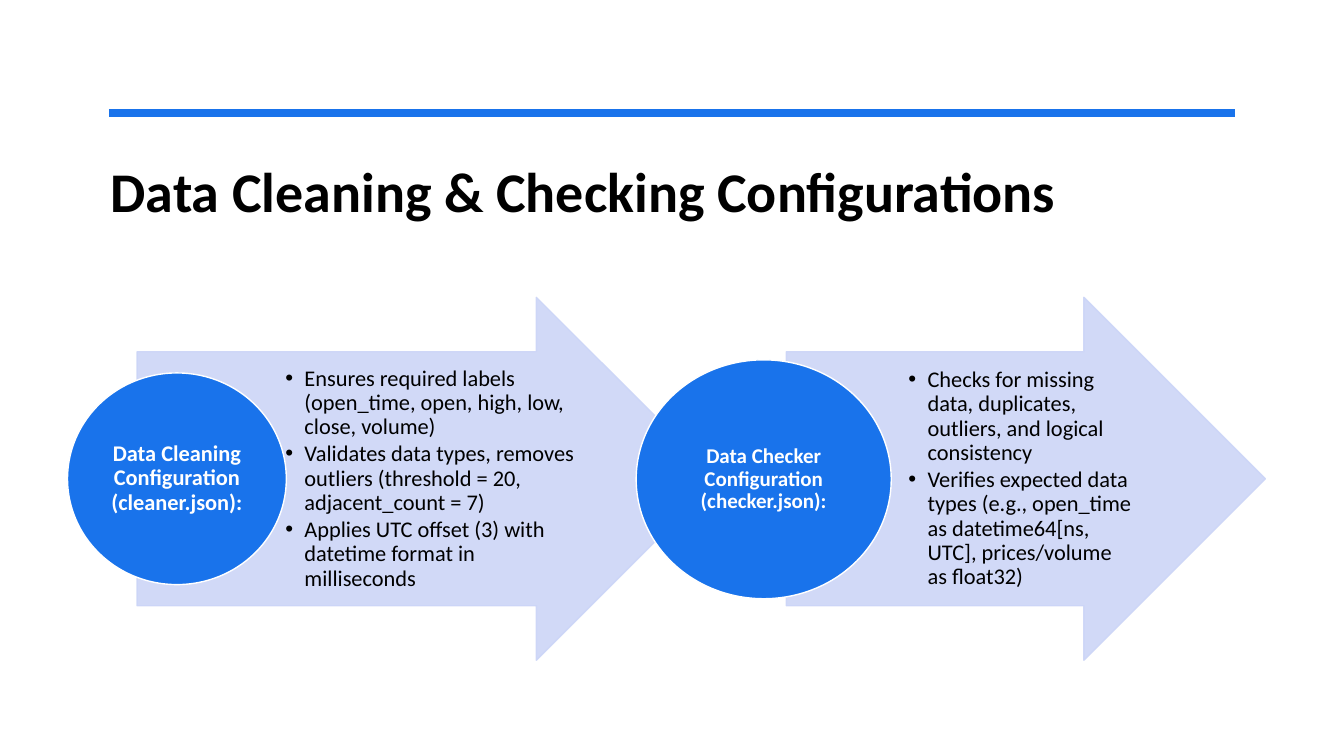
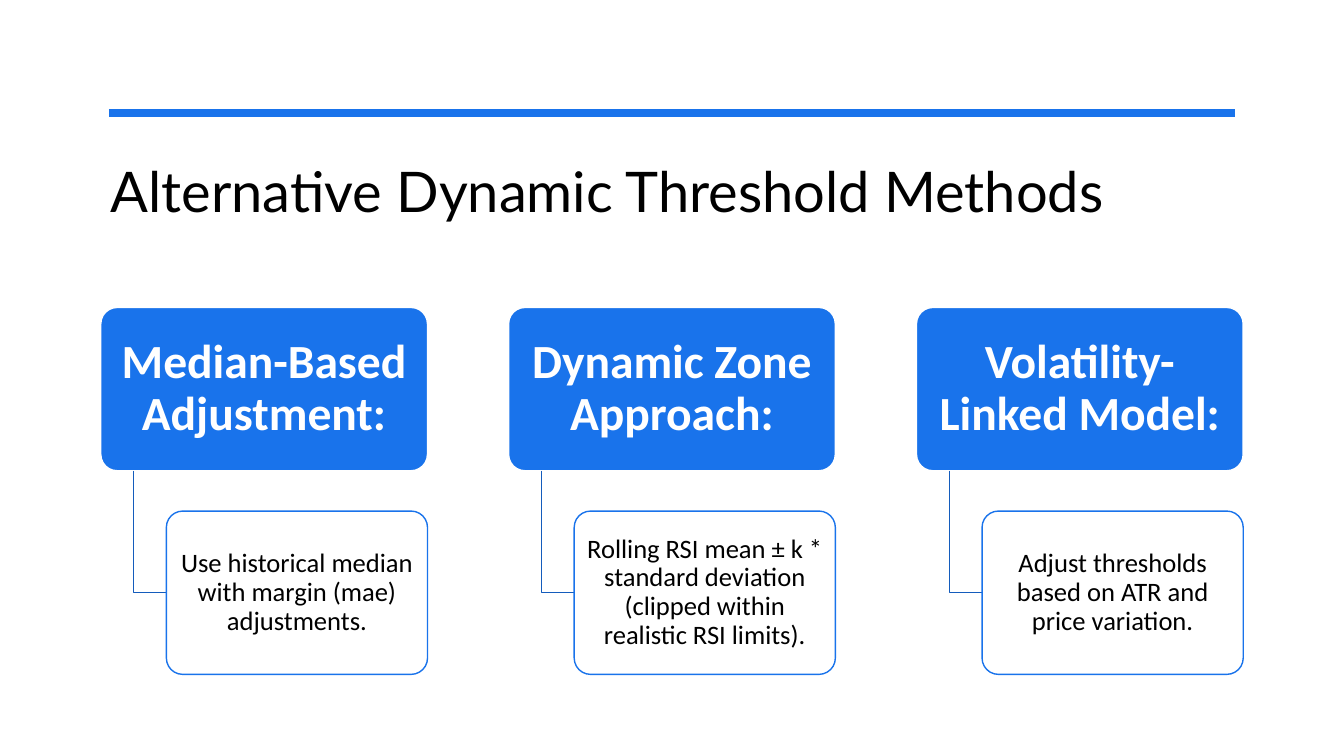
from lxml.etree import SubElement
from pptx import Presentation
from pptx.dml.color import RGBColor
from pptx.enum.shapes import MSO_CONNECTOR, MSO_SHAPE
from pptx.enum.text import MSO_ANCHOR, PP_ALIGN
from pptx.oxml.ns import qn
from pptx.util import Inches, Pt

BLUE = RGBColor(0x19, 0x73, 0xEB)
DEEP = RGBColor(0x14, 0x5C, 0xBC)
PALE = RGBColor(0xCC, 0xD5, 0xF7)
WHITE = RGBColor(0xFF, 0xFF, 0xFF)
BLACK = RGBColor(0x00, 0x00, 0x00)


def add_form(slide, kind, box, fill, line):
    form = slide.shapes.add_shape(kind, *[Inches(v) for v in box])
    form.shadow.inherit = False
    form.fill.solid()
    form.fill.fore_color.rgb = fill
    form.line.color.rgb = line
    form.line.width = Pt(1)
    return form


def set_text(shape, lines, size, color, pad, after, bold=False, align=PP_ALIGN.CENTER):
    frame = shape.text_frame
    frame.word_wrap = True
    frame.vertical_anchor = MSO_ANCHOR.MIDDLE
    frame.margin_left = frame.margin_right = Inches(pad[0])
    frame.margin_top = frame.margin_bottom = Inches(pad[1])
    frame.text = "\n".join(lines)
    for para in frame.paragraphs:
        para.alignment = align
        para.line_spacing = 0.9
        para.space_after = Pt(size * after)
        font = para.runs[0].font
        font.name, font.size, font.bold = "Calibri", Pt(size), bold
        font.color.rgb = color


deck = Presentation()
deck.slide_width = Inches(13.33)
deck.slide_height = Inches(7.5)

# Shared rule and title
slides = []
for title, face, bold in [
    ("Data Cleaning & Checking Configurations", "Calibri", True),
    ("Alternative Dynamic Threshold Methods", "Lato", False),
]:
    slide = deck.slides.add_slide(deck.slide_layouts[6])
    slides.append(slide)
    head = slide.shapes.add_textbox(Inches(1), Inches(1.5), Inches(11.33), Inches(1.25))
    head.text_frame.word_wrap = True
    head.text_frame.text = title
    font = head.text_frame.paragraphs[0].runs[0].font
    font.name, font.size, font.bold = face, Pt(40), bold
    font.color.rgb = BLACK
    rule = slide.shapes.add_connector(
        MSO_CONNECTOR.STRAIGHT, Inches(1.08), Inches(1.12), Inches(12.25), Inches(1.12))
    rule.line.color.rgb = BLUE
    rule.line.width = Pt(6)
    SubElement(rule._element.spPr, qn("a:effectLst"))

configs, methods = slides

# Slide 1: arrows with bullets and round labels
steps = [
    ("Data Cleaning Configuration (cleaner.json):", 16,
     (1.36, 2.95, 5.76, 3.6), (2.8, 3.49, 3.06, 2.52), (0.67, 3.7, 2.17, 2.1),
     ["Ensures required labels (open_time, open, high, low, close, volume)",
      "Validates data types, removes outliers (threshold = 20, adjacent_count = 7)",
      "Applies UTC offset (3) with datetime format in milliseconds"]),
    ("Data Checker Configuration (checker.json):", 15,
     (7.8, 2.95, 4.75, 3.6), (8.98, 3.49, 2.32, 2.52), (6.31, 3.57, 2.53, 2.37),
     ["Checks for missing data, duplicates, outliers, and logical consistency",
      "Verifies expected data types (e.g., open_time as datetime64[ns, UTC], "
      "prices/volume as float32)"]),
]
for label, size, span, area, disc, points in steps:
    arrow = add_form(configs, MSO_SHAPE.RIGHT_ARROW, span, PALE, PALE)
    arrow.adjustments[0], arrow.adjustments[1] = 0.7, 0.5
    for tint in arrow._element.spPr.iter(qn("a:srgbClr")):
        SubElement(tint, qn("a:alpha"), val="90000")
    notes = configs.shapes.add_textbox(*[Inches(v) for v in area])
    set_text(notes, points, 16, BLACK, (0.03, 0.01), 0.15, align=PP_ALIGN.LEFT)
    for para in notes.text_frame.paragraphs:
        props = para._p.get_or_add_pPr()
        props.set("marL", str(Inches(0.19)))
        props.set("indent", str(-Inches(0.19)))
        SubElement(props, qn("a:buFont"), typeface="Arial")
        SubElement(props, qn("a:buChar"), char="•")
    badge = add_form(configs, MSO_SHAPE.OVAL, disc, BLUE, WHITE)
    set_text(badge, [label], size, WHITE, (0.01, 0.01), 0.35, bold=True)

# Slide 2: one column per method, heading linked to its card
cards = [
    ("Median-Based Adjustment:", "Use historical median with margin (mae) adjustments."),
    ("Dynamic Zone Approach:",
     "Rolling RSI mean ± k * standard deviation (clipped within realistic RSI limits)."),
    ("Volatility-Linked Model:", "Adjust thresholds based on ATR and price variation."),
]
WIDE, HIGH, STEP = 3.24, 1.62, 0.325
TOP, LOW = 3.05, 5.07
for col, (name, body) in enumerate(cards):
    left = 1 + col * 4.045
    top = add_form(methods, MSO_SHAPE.ROUNDED_RECTANGLE, (left, TOP, WIDE, HIGH), BLUE, WHITE)
    top.adjustments[0] = 0.1
    set_text(top, [name], 34, WHITE, (0.07, 0.05), 0.35, bold=True)

    mid = LOW + HIGH / 2
    path = methods.shapes.build_freeform(Inches(left + STEP), Inches(TOP + HIGH))
    path.add_line_segments(
        [(Inches(left + STEP), Inches(mid)), (Inches(left + 2 * STEP), Inches(mid))],
        close=False)
    elbow = path.convert_to_shape()
    elbow.shadow.inherit = False
    elbow.fill.background()
    elbow.line.color.rgb = DEEP
    elbow.line.width = Pt(1)

    card = add_form(methods, MSO_SHAPE.ROUNDED_RECTANGLE,
                    (left + 2 * STEP, LOW, WIDE - 2 * STEP, HIGH), WHITE, BLUE)
    card.adjustments[0] = 0.1
    set_text(card, [body], 19, BLACK, (0.04, 0.03), 0.35)

deck.save("out.pptx")
